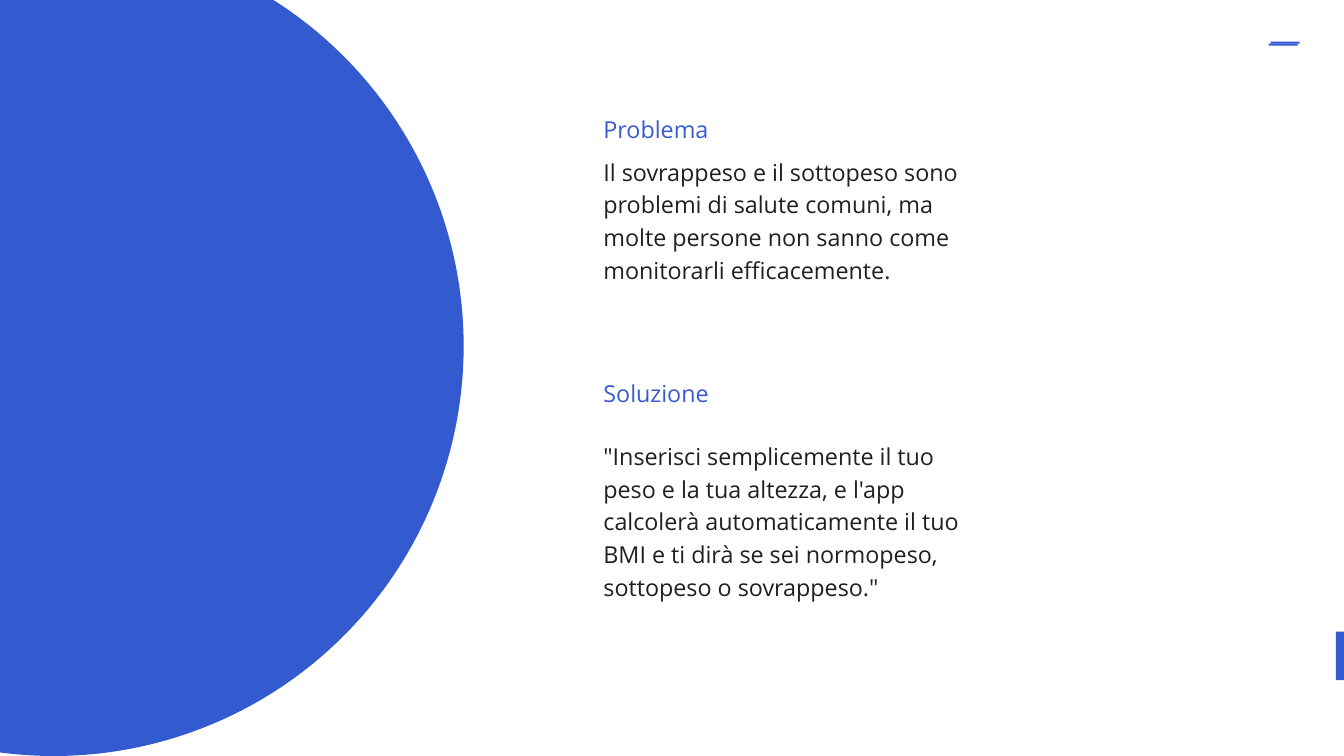
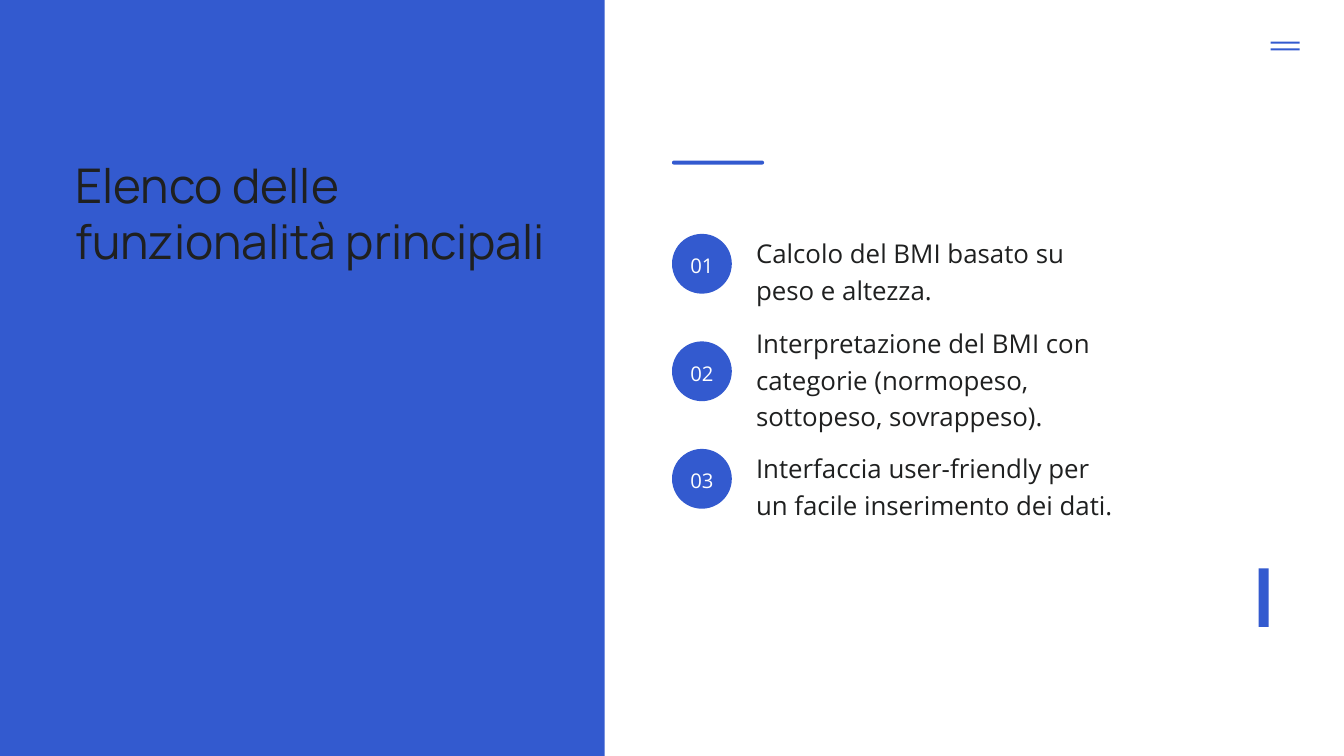
from pptx import Presentation
from pptx.dml.color import RGBColor
from pptx.enum.shapes import MSO_SHAPE
from pptx.enum.text import MSO_ANCHOR, MSO_AUTO_SIZE, PP_ALIGN
from pptx.util import Inches, Pt

# Content
SECTIONS = [  # heading, heading top, body, body top, body height
    ("Problema", 1.64,
     "Il sovrappeso e il sottopeso sono problemi di salute comuni, ma molte "
     "persone non sanno come monitorarli efficacemente.", 2.28, 1.9),
    ("Soluzione", 5.57,
     "\"Inserisci semplicemente il tuo peso e la tua altezza, e l'app calcolerà "
     "automaticamente il tuo BMI e ti dirà se sei normopeso, sottopeso o "
     "sovrappeso.\"", 6.51, 2.38),
]
FEATURES_TITLE = "Elenco delle funzionalità principali"
FEATURES = [  # text, number of lines
    ("Calcolo del BMI basato su peso e altezza.", 2),
    ("Interpretazione del BMI con categorie (normopeso, sottopeso, sovrappeso).", 3),
    ("Interfaccia user-friendly per un facile inserimento dei dati.", 2),
]

# Shared style
BLUE = RGBColor(0x33, 0x5A, 0xCF)
HEADING_BLUE = RGBColor(0x39, 0x5B, 0xD1)
INK = RGBColor(0x1F, 0x20, 0x20)
WHITE = RGBColor(0xFF, 0xFF, 0xFF)
TITLE_FONT, BODY_FONT = "Manrope", "Open Sans"
TITLE_ONLY, BLANK = 5, 6

# Feature list grid
BADGE_LEFT, BADGE_TOP, BADGE_SIZE, BADGE_STEP = 10, 3.48, 0.89, 1.6
FEATURE_LEFT, FEATURE_WIDTH, FEATURE_LINE = 11.25, 5.32, 0.52


def add_block(page, kind, left, top, width, height):
    """Add a plain blue shape."""
    block = page.shapes.add_shape(
        kind, Inches(left), Inches(top), Inches(width), Inches(height))
    block.shadow.inherit = False
    block.fill.solid()
    block.fill.fore_color.rgb = BLUE
    block.line.fill.background()
    return block


def write(shape, text, size, spacing, color=INK, font=BODY_FONT,
          align=PP_ALIGN.LEFT, anchor=MSO_ANCHOR.TOP):
    """Put one formatted paragraph into a shape without insets."""
    frame = shape.text_frame
    frame.word_wrap = True
    frame.auto_size = MSO_AUTO_SIZE.NONE
    frame.vertical_anchor = anchor
    frame.margin_left = frame.margin_right = 0
    frame.margin_top = frame.margin_bottom = 0
    para = frame.paragraphs[0]
    para.alignment = align
    para.line_spacing = Pt(spacing)
    para.space_before = para.space_after = Pt(0)
    span = para.add_run()
    span.text = text
    span.font.name = font
    span.font.size = Pt(size)
    span.font.color.rgb = color


def add_text(page, left, top, width, height, text, size, spacing, color=INK):
    box = page.shapes.add_textbox(
        Inches(left), Inches(top), Inches(width), Inches(height))
    write(box, text, size, spacing, color)


def add_menu_icon(page, second_left, second_top):
    """Draw the two short bars in the top right corner."""
    for left, top in [(18.91, 0.62), (second_left, second_top)]:
        add_block(page, MSO_SHAPE.RECTANGLE, left, top, 0.43, 0.03)


def build_problem_page(deck):
    page = deck.slides.add_slide(deck.slide_layouts[BLANK])
    add_menu_icon(page, 18.88, 0.65)
    add_block(page, MSO_SHAPE.RECTANGLE, 19.88, 9.4, 0.12, 0.72)
    add_block(page, MSO_SHAPE.OVAL, -5.3, -0.95, 12.2, 12.2)
    for heading, heading_top, body, body_top, body_height in SECTIONS:
        add_text(page, 8.98, heading_top, 2.6, 0.46, heading, 25, 35, HEADING_BLUE)
        add_text(page, 8.98, body_top, 5.76, body_height, body, 25, 35)


def build_features_page(deck):
    page = deck.slides.add_slide(deck.slide_layouts[TITLE_ONLY])
    add_menu_icon(page, 18.91, 0.72)
    panel = add_block(page, MSO_SHAPE.RECTANGLE, -0.04, 0, 9.04, 11.25)
    add_block(page, MSO_SHAPE.RECTANGLE, 18.73, 8.46, 0.15, 0.87)
    rule = add_block(page, MSO_SHAPE.ROUNDED_RECTANGLE, 10, 2.39, 1.37, 0.06)
    rule.adjustments[0] = 0.5

    # Title in front of the blue panel
    title = page.shapes.title
    title.left, title.top = Inches(1.12), Inches(2.34)
    title.width, title.height = Inches(7.73), Inches(3.38)
    write(title, FEATURES_TITLE, 51.2, 59.9, font=TITLE_FONT)
    panel.element.addnext(title.element)

    # Numbered features, each text centred beside its badge
    for index, (text, lines) in enumerate(FEATURES):
        top = BADGE_TOP + index * BADGE_STEP
        badge = add_block(page, MSO_SHAPE.OVAL, BADGE_LEFT, top, BADGE_SIZE, BADGE_SIZE)
        write(badge, f"{index + 1:02d}", 21.7, 30.4, WHITE,
              align=PP_ALIGN.CENTER, anchor=MSO_ANCHOR.MIDDLE)
        height = lines * FEATURE_LINE
        middle = top + BADGE_SIZE / 2 + 0.06
        add_text(page, FEATURE_LEFT, middle - height / 2, FEATURE_WIDTH, height,
                 text, 27.7, 38.8)


def main():
    deck = Presentation()
    deck.slide_width, deck.slide_height = Inches(20), Inches(11.25)
    build_problem_page(deck)
    build_features_page(deck)
    deck.save("out.pptx")


if __name__ == "__main__":
    main()
